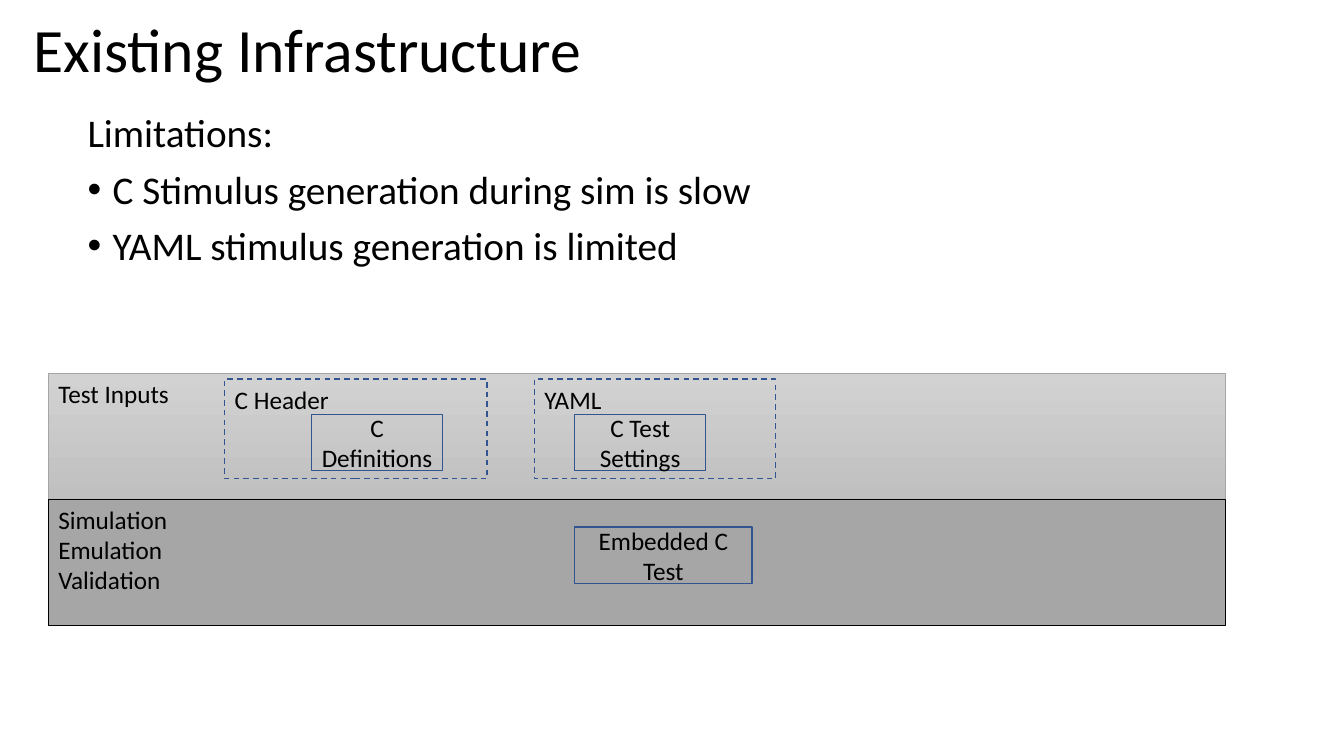
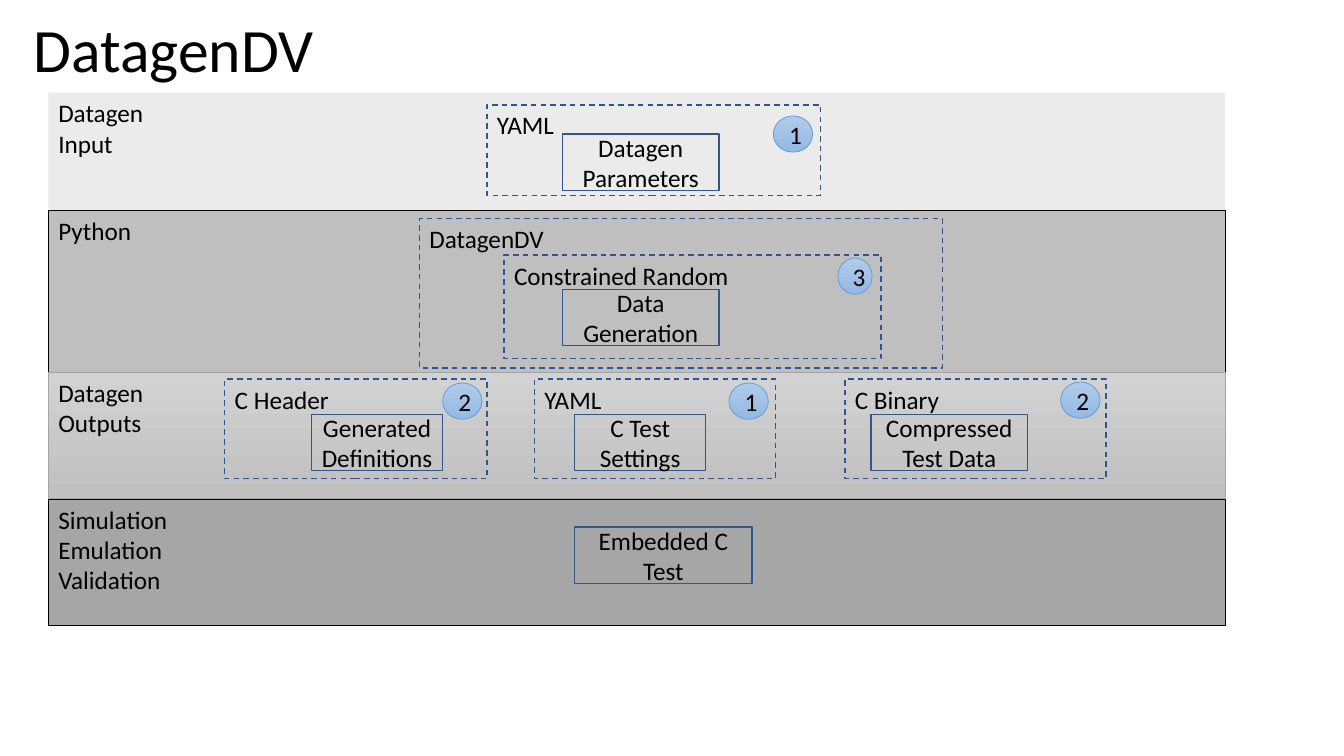
import pptx
import pptx.util
import pptx.dml.color
import pptx.enum.dml
import pptx.enum.shapes
import pptx.enum.text
import lxml.etree
from pptx.oxml.ns import qn

Inches = pptx.util.Inches
Pt = pptx.util.Pt
ALIGN = pptx.enum.text.PP_ALIGN
ANCHOR = pptx.enum.text.MSO_ANCHOR
SHAPES = pptx.enum.shapes.MSO_SHAPE

COLORS = {
    "text": "000000",
    "input": "D9D9D9",
    "python": "BFBFBF",
    "outputs_top": "D2D2D2",
    "outputs_bottom": "C0C0C0",
    "outputs_edge": "A5A5A5",
    "run": "A6A6A6",
    "box_edge": "325491",
    "badge_top": "B1CBE9",
    "badge_bottom": "93B9E4",
    "badge_edge": "5B9BD5",
}
RGB = {name: pptx.dml.color.RGBColor.from_string(code) for name, code in COLORS.items()}

BAND_LEFT, BAND_WIDTH = 0.48, 11.67
BOX_HEIGHT, BADGE_HEIGHT = 0.56, 0.36
OUTPUTS_FILL = ("outputs_top", "outputs_bottom")
BADGE_FILL = ("badge_top", "badge_bottom")


def write(frame, lines, size, align):
    for index, line in enumerate(lines):
        paragraph = frame.paragraphs[0] if index == 0 else frame.add_paragraph()
        paragraph.alignment = align
        run = paragraph.add_run()
        run.text = line
        run.font.size = Pt(size)
        run.font.name = "Calibri"
        run.font.color.rgb = RGB["text"]


def add_block(slide, bounds, lines, fill=None, edge="box_edge", weight=1,
              dashed=False, centered=False, outline=SHAPES.RECTANGLE):
    block = slide.shapes.add_shape(outline, *[Inches(length) for length in bounds])
    block.shadow.inherit = False
    if fill is None:
        block.fill.background()
    elif isinstance(fill, tuple):
        block.fill.gradient()
        block.fill.gradient_angle = 270
        for stop, color in zip(block.fill.gradient_stops, fill):
            stop.color.rgb = RGB[color]
    else:
        block.fill.solid()
        block.fill.fore_color.rgb = RGB[fill]
    if edge is None:
        block.line.fill.background()
    else:
        block.line.color.rgb = RGB[edge]
        block.line.width = Pt(weight)
    if dashed:
        block.line.dash_style = pptx.enum.dml.MSO_LINE.DASH
    block.text_frame.vertical_anchor = ANCHOR.MIDDLE if centered else ANCHOR.TOP
    write(block.text_frame, lines, 18, ALIGN.CENTER if centered else ALIGN.LEFT)
    return block


run_band = (4.95, 1.25, ["Simulation", "Emulation", "Validation"], "run", "text")
shared_boxes = [
    (5.7, 5.23, 1.76, "Embedded C Test"),
    (5.7, 4.11, 1.3, "C Test Settings"),
]
shared_groups = [
    (2.23, 3.76, 2.6, 0.99, "C Header"),
    (5.3, 3.76, 2.39, 0.99, "YAML"),
]

pages = [
    {
        "title": "Existing Infrastructure",
        "bands": [
            (3.7, 1.25, ["Test Inputs"], OUTPUTS_FILL, "outputs_edge"),
            run_band,
        ],
        "boxes": shared_boxes + [(3.09, 4.11, 1.3, "C Definitions")],
        "groups": shared_groups,
        "badges": [],
        "limitations": [
            "Limitations:",
            "C Stimulus generation during sim is slow",
            "YAML stimulus generation is limited",
        ],
    },
    {
        "title": "DatagenDV",
        "bands": [
            (0.92, 1.17, ["Datagen", "Input"], "input", None),
            (2.09, 1.62, ["Python"], "python", "text"),
            (3.69, 1.25, ["Datagen", "Outputs"], OUTPUTS_FILL, "outputs_edge"),
            run_band,
        ],
        "boxes": shared_boxes + [
            (3.09, 4.11, 1.3, "Generated Definitions"),
            (8.64, 4.11, 1.55, "Compressed Test Data"),
            (5.58, 2.87, 1.55, "Data Generation"),
            (5.58, 1.33, 1.55, "Datagen Parameters"),
        ],
        "groups": [
            (4.83, 1.04, 3.31, 0.9, "YAML"),
            (5, 2.53, 3.74, 1.03, "Constrained Random"),
            (4.16, 2.17, 5.19, 1.48, "DatagenDV"),
        ] + shared_groups + [(8.38, 3.76, 2.59, 0.99, "C Binary")],
        "badges": [
            (7.67, 1.15, 0.39, "1"),
            (4.39, 3.8, 0.39, "2"),
            (10.52, 3.79, 0.39, "2"),
            (8.31, 2.56, 0.34, "3"),
            (7.23, 3.8, 0.39, "1"),
        ],
        "limitations": [],
    },
]

deck = pptx.Presentation()
deck.slide_width, deck.slide_height = Inches(13.33), Inches(7.5)

for page in pages:
    slide = deck.slides.add_slide(deck.slide_layouts.get_by_name("Title Only"))
    title = slide.shapes.title
    title.left, title.top = Inches(0.23), Inches(-0.2)
    title.width, title.height = Inches(11.5), Inches(1.45)
    title.text_frame.auto_size = pptx.enum.text.MSO_AUTO_SIZE.NONE
    title.text_frame.vertical_anchor = ANCHOR.MIDDLE
    write(title.text_frame, [page["title"]], 44, ALIGN.LEFT)
    title.text_frame.paragraphs[0].line_spacing = 0.9

    for top, height, lines, fill, edge in page["bands"]:
        band = add_block(slide, (BAND_LEFT, top, BAND_WIDTH, height), lines, fill, edge, 0.5)
        if fill == "input":
            tint = band.fill._xPr.find(qn("a:solidFill"))[0]
            lxml.etree.SubElement(tint, qn("a:alpha"), val="50000")

    for left, top, width, label in page["boxes"]:
        add_block(slide, (left, top, width, BOX_HEIGHT), [label], centered=True)

    for left, top, width, height, label in page["groups"]:
        add_block(slide, (left, top, width, height), [label], dashed=True)

    for left, top, width, number in page["badges"]:
        add_block(slide, (left, top, width, BADGE_HEIGHT), [number], BADGE_FILL, "badge_edge",
                  0.5, centered=True, outline=SHAPES.FLOWCHART_CONNECTOR)

    if page["limitations"]:
        limitations = slide.shapes.add_textbox(Inches(0.77), Inches(1.08), Inches(7.24), Inches(2.46))
        limitations.text_frame.word_wrap = True
        write(limitations.text_frame, page["limitations"], 28, ALIGN.LEFT)
        for index, paragraph in enumerate(limitations.text_frame.paragraphs):
            paragraph.line_spacing = 0.9
            paragraph.space_before = Pt(10)
            if index > 0:
                properties = paragraph._p.get_or_add_pPr()
                properties.set("marL", str(Inches(0.25)))
                properties.set("indent", str(Inches(-0.25)))
                lxml.etree.SubElement(properties, qn("a:buFont"), typeface="Arial")
                lxml.etree.SubElement(properties, qn("a:buChar"), char="•")

deck.save("out.pptx")
